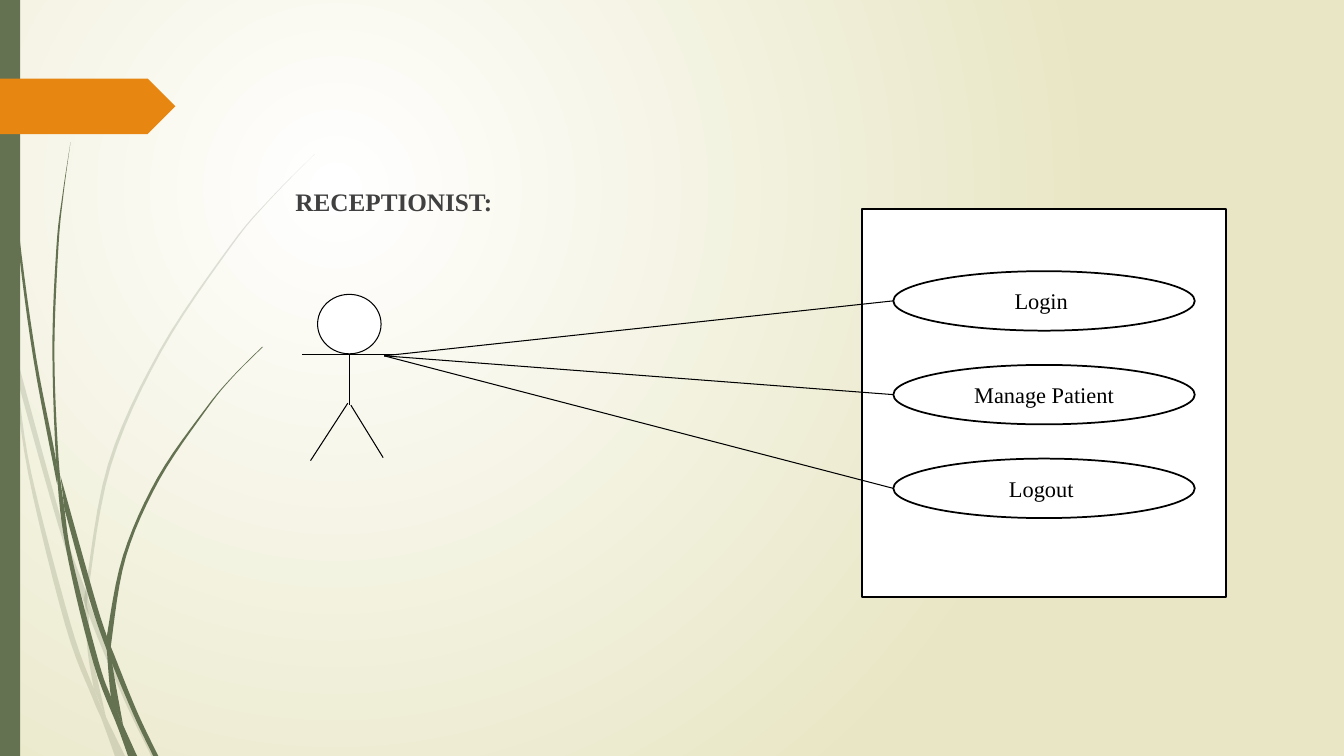
from dataclasses import dataclass
from lxml import etree
from pptx import Presentation
from pptx.dml.color import RGBColor
from pptx.enum import shapes, text
from pptx.oxml import ns
from pptx.util import Inches, Pt


@dataclass(frozen=True)
class Theme:
    font: str = "Times New Roman"
    white: str = "FFFFFF"
    black: str = "000000"
    sand: str = "E8E6C4"
    green: str = "647252"
    orange: str = "E78712"
    gray: str = "404040"
    head: int = 18
    body: int = 16
    thin: float = 0.75
    thick: float = 1.25


THEME = Theme()
KIND = shapes.MSO_SHAPE

# Each blade is its right edge going down, then its left edge going up.
PALE = [
    ([(0, 2.82), (0.09, 3.22), (0.17, 3.76), (0.31, 4.69), (0.7, 6.19),
      (0.93, 6.83), (1.05, 7.11), (1.24, 7.5)],
     [(1.14, 7.5), (1.01, 7.14), (0.92, 6.93), (0.65, 6.21), (0.28, 4.7),
      (0.11, 3.5), (0, 2.99)]),
    ([(0.14, 3.45), (0.62, 5.2), (0.85, 5.86), (0.92, 6.07), (1.27, 6.92),
      (1.55, 7.5)],
     [(1.5, 7.5), (1.23, 6.94), (0.88, 6.1), (0.58, 5.22), (0.17, 3.76)]),
    ([(3.12, 1.53), (2.68, 1.98), (2.29, 2.45), (1.6, 3.49), (1.1, 4.62),
      (0.88, 5.84), (0.88, 6.1), (0.91, 6.46), (1.05, 7.11)],
     [(0.93, 6.83), (0.87, 6.46), (0.84, 5.99), (0.85, 5.84), (1.07, 4.61),
      (1.58, 3.48), (2.28, 2.44), (2.68, 1.97), (3.12, 1.53)]),
]
DARK = [
    ([(0.04, 0), (0.05, 0.48), (0.08, 1.09), (0.19, 2.32), (0.36, 3.55),
      (0.55, 4.53), (0.57, 4.81)],
     [(0.56, 4.77), (0.33, 3.55), (0.17, 2.33), (0.07, 1.1), (0.04, 0.48),
      (0.03, 0)]),
    ([(0.7, 1.41), (0.63, 1.93), (0.58, 2.45), (0.54, 3.49), (0.58, 4.53),
      (0.64, 5.05), (0.72, 5.56), (0.98, 6.57), (1.1, 6.91), (1.22, 7.19),
      (1.36, 7.5)],
     [(1.27, 7.5), (1.17, 7.22), (0.93, 6.59), (0.68, 5.57), (0.57, 4.77),
      (0.52, 3.49), (0.56, 2.45), (0.62, 1.93), (0.7, 1.41)]),
    ([(0.6, 4.72), (0.93, 5.9), (1.06, 6.31), (1.13, 6.49), (1.36, 7.06),
      (1.57, 7.5)],
     [(1.52, 7.5), (1.32, 7.08), (1.06, 6.45), (0.88, 5.92), (0.64, 5.05)]),
    ([(2.61, 3.44), (2.31, 3.74), (2.05, 4.06), (1.58, 4.76), (1.25, 5.52),
      (1.11, 6.33), (1.11, 6.56), (1.22, 7.19)],
     [(1.16, 7.06), (1.1, 6.91), (1.06, 6.45), (1.06, 6.31), (1.22, 5.51),
      (1.56, 4.74), (2.04, 4.05), (2.31, 3.73), (2.6, 3.44)]),
]


def color(code):
    return RGBColor.from_string(code)


def write(para, words, size, code, bold=False):
    run = para.add_run()
    run.text = words
    run.font.name = THEME.font
    run.font.size = Pt(size)
    run.font.bold = bold
    run.font.color.rgb = color(code)


def paint(shape, fill, line=None, width=THEME.thick):
    shape.shadow.inherit = False
    shape.fill.solid()
    shape.fill.fore_color.rgb = color(fill)
    if line:
        shape.line.color.rgb = color(line)
        shape.line.width = Pt(width)
    else:
        shape.line.fill.background()


def block(slide, kind, box, *look):
    shape = slide.shapes.add_shape(kind, *map(Inches, box))
    paint(shape, *look)
    return shape


def link(slide, start, end):
    line = slide.shapes.add_connector(
        shapes.MSO_CONNECTOR.STRAIGHT, *map(Inches, start + end))
    line.line.color.rgb = color(THEME.black)
    line.line.width = Pt(THEME.thin)
    etree.SubElement(line.element.spPr, ns.qn("a:effectLst"))


def curve(knots, steps=6):
    """Return points of a smooth curve through the knots (Catmull-Rom)."""
    ends = [knots[0], *knots, knots[-1]]
    points = [knots[0]]
    for a, b, c, d in zip(ends, ends[1:], ends[2:], ends[3:]):
        for step in range(1, steps + 1):
            t = step / steps
            points.append(tuple(
                (2 * q + (r - p) * t + (2 * p - 5 * q + 4 * r - s) * t ** 2
                 + (3 * q - p - 3 * r + s) * t ** 3) / 2
                for p, q, r, s in zip(a, b, c, d)))
    return points


def blade(slide, edges, box, alpha=None):
    left, top = box[:2]
    points = [(Inches(left + x), Inches(top + y))
              for edge in edges for x, y in curve(edge)]
    form = slide.shapes.build_freeform(*points[0])
    form.add_line_segments(points[1:])
    shape = form.convert_to_shape()
    paint(shape, THEME.green)
    if alpha:
        tint = shape.element.spPr.find(".//" + ns.qn("a:srgbClr"))
        etree.SubElement(tint, ns.qn("a:alpha"), val=str(alpha * 1000))


def backdrop(slide):
    fill = slide.background.fill
    fill.gradient()
    for stop, code, place in zip(fill.gradient_stops,
                                 (THEME.white, THEME.sand), (0, 1)):
        stop.color.rgb = color(code)
        stop.position = place
    grad = slide.element.find(".//" + ns.qn("a:gradFill"))
    grad.remove(grad.find(ns.qn("a:lin")))
    glow = etree.SubElement(grad, ns.qn("a:path"), attrib={"path": "circle"})
    etree.SubElement(glow, ns.qn("a:fillToRect"),
                     l="50000", t="50000", r="100000", b="100000")


def decor(slide, box):
    left, top, _, height = box
    for edges in PALE:
        blade(slide, edges, box, 20)
    for edges in DARK:
        blade(slide, edges, box)
    block(slide, KIND.RECTANGLE, (left, top, 0.2, height), THEME.green)
    block(slide, KIND.PENTAGON, (left, top + 0.78, 1.74, 0.55), THEME.orange)


def heading(slide, box, words):
    title = slide.shapes.title
    title.left, title.top, title.width, title.height = map(Inches, box)
    frame = title.text_frame
    frame.word_wrap = True
    frame.vertical_anchor = text.MSO_ANCHOR.TOP
    para = frame.paragraphs[0]
    para.alignment = text.PP_ALIGN.LEFT
    write(para, words, THEME.head, THEME.gray, True)


def actor(slide, box):
    """Draw the stick figure and return the point of its hand."""
    left, top, width, height = box
    mid, arm, hip = left + width / 2, top + 0.6, top + 1.1
    foot = top + height
    block(slide, KIND.OVAL, (mid - 0.32, top, 0.63, 0.59),
          THEME.white, THEME.black, THEME.thin)
    link(slide, (left, arm), (left + width, arm))
    link(slide, (mid, arm), (mid, hip))
    link(slide, (mid - 0.02, hip - 0.02), (mid - 0.39, foot))
    link(slide, (mid + 0.01, hip), (mid + 0.33, foot - 0.03))
    return mid + 0.34, arm + 0.01


def system(slide, box, cases, hand):
    """Draw the system frame with one oval per use case, linked to the hand."""
    left, top, width, _ = box
    block(slide, KIND.RECTANGLE, box, THEME.white, THEME.black)
    pad, high, pitch = 0.31, 0.59, 0.93
    for i, case in enumerate(cases):
        y = top + 0.62 + i * pitch
        oval = block(slide, KIND.OVAL, (left + pad, y, width - 2 * pad, high),
                     THEME.white, THEME.black)
        frame = oval.text_frame
        frame.word_wrap = True
        frame.vertical_anchor = text.MSO_ANCHOR.MIDDLE
        para = frame.paragraphs[0]
        para.alignment = text.PP_ALIGN.CENTER
        write(para, case, THEME.body, THEME.black)
        link(slide, hand, (left + pad, y + high / 2))


def main():
    deck = Presentation()
    deck.slide_width, deck.slide_height = Inches(13.33), Inches(7.5)
    slide = deck.slides.add_slide(deck.slide_layouts.get_by_name("Title Only"))
    backdrop(slide)
    decor(slide, (0, 0, 13.33, 7.5))
    heading(slide, (2.83, 1.8, 9.75, 4.67), "RECEPTIONIST:")
    hand = actor(slide, (3, 2.92, 0.94, 1.65))
    system(slide, (8.55, 2.07, 3.61, 3.85),
           ("Login ", "Manage Patient", "Logout "), hand)
    deck.save("out.pptx")


if __name__ == "__main__":
    main()
